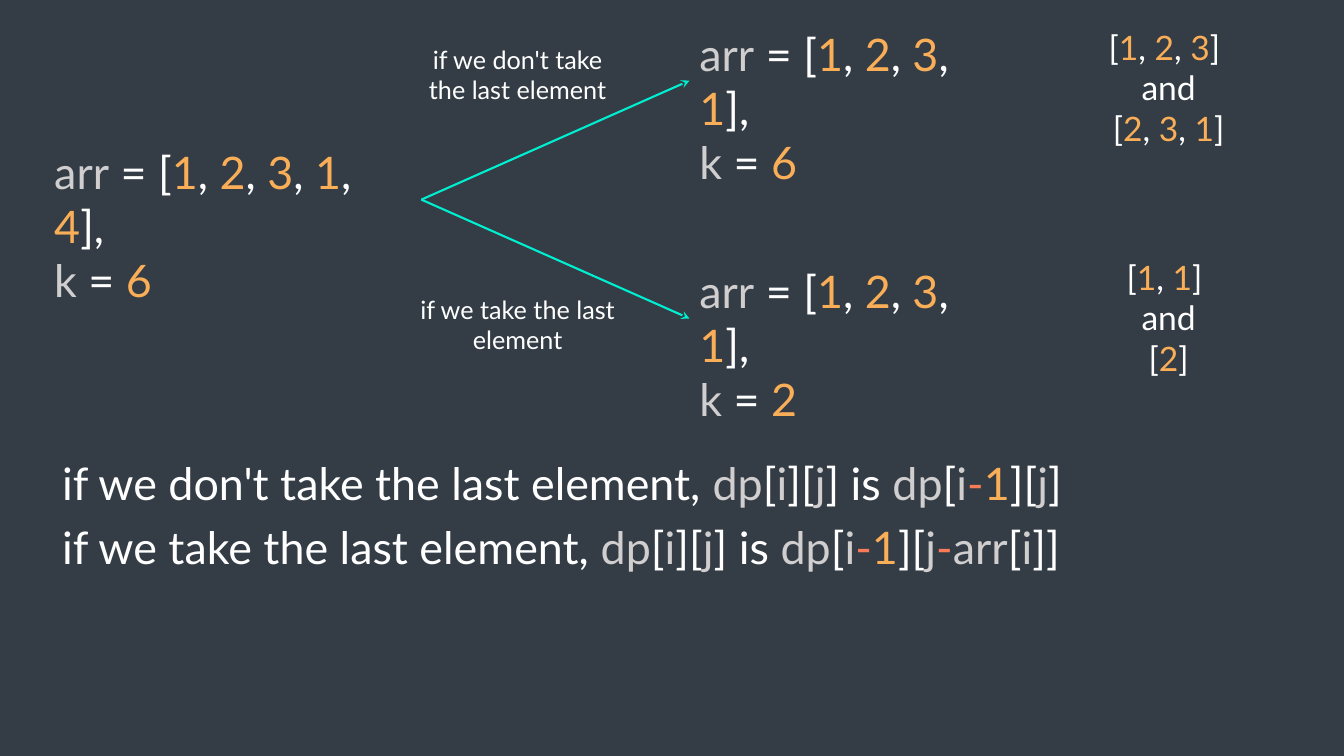
from itertools import groupby

from lxml import etree
from pptx import Presentation
from pptx.dml.color import RGBColor
from pptx.enum import shapes, text
from pptx.oxml import ns
from pptx.util import Pt

COLORS = {
    "background": "343D46",
    "plain": "FFFFFF",
    "name": "D0CECE",
    "number": "F9AE57",
    "operator": "F97B57",
    "arrow": "00EFD1",
}
NAMES = {"arr", "k", "dp", "i", "j"}


def color_runs(line):
    tokens = ["".join(group) for _, group in groupby(line, lambda c: (c.isalpha(), c.isdigit(), c == "-"))]

    def kind(token):
        if token in NAMES:
            return "name"
        if token.isdigit():
            return "number"
        return "operator" if token == "-" else "plain"

    return [(key, "".join(group)) for key, group in groupby(tokens, kind)]


presentation = Presentation()
presentation.slide_width = Pt(960)
presentation.slide_height = Pt(540)
slide = presentation.slides.add_slide(presentation.slide_layouts[6])
slide.background.fill.solid()
slide.background.fill.fore_color.rgb = RGBColor.from_string(COLORS["background"])

LEFT = text.PP_ALIGN.LEFT
CENTER = text.PP_ALIGN.CENTER
text_boxes = [
    (31.7, 100, 269.3, 85, 32, LEFT, ["arr = [1, 2, 3, 1, 4],", "k = 6"]),
    (492.5, 15.8, 234, 85, 32, LEFT, ["arr = [1, 2, 3, 1],", "k = 6"]),
    (492.5, 185, 234, 85, 32, LEFT, ["arr = [1, 2, 3, 1],", "k = 2"]),
    (288.7, 28, 162, 51, 18, CENTER, ["if we don't take the last element"]),
    (288.7, 206.6, 162, 51, 18, CENTER, ["if we take the last element"]),
    (37.4, 321.8, 856.8, 46, 32, LEFT, ["if we don't take the last element, dp[i][j] is dp[i-1][j]"]),
    (37.4, 367.9, 856.8, 46, 32, LEFT, ["if we take the last element, dp[i][j] is dp[i-1][j-arr[i]]"]),
    (761, 15.8, 147.6, 94.3, 24, CENTER, ["[1, 2, 3] ", "and", "[2, 3, 1]"]),
    (761, 180, 147.6, 94.3, 24, CENTER, ["[1, 1] ", "and", "[2]"]),
]
for left, top, width, height, size, alignment, lines in text_boxes:
    shape = slide.shapes.add_textbox(Pt(left), Pt(top), Pt(width), Pt(height))
    frame = shape.text_frame
    frame.word_wrap = True
    frame.auto_size = text.MSO_AUTO_SIZE.SHAPE_TO_FIT_TEXT
    for index, line in enumerate(lines):
        paragraph = frame.add_paragraph() if index else frame.paragraphs[0]
        paragraph.alignment = alignment
        for color, words in color_runs(line):
            run = paragraph.add_run()
            run.text = words
            for attribute, value in {"name": "Lato", "size": Pt(size)}.items():
                setattr(run.font, attribute, value)
            run.font.color.rgb = RGBColor.from_string(COLORS[color])

for end_top in (227.5, 57.6):
    arrow = slide.shapes.add_connector(
        shapes.MSO_CONNECTOR.STRAIGHT, Pt(301), Pt(142.6), Pt(492.5), Pt(end_top)
    )
    arrow.line.color.rgb = RGBColor.from_string(COLORS["arrow"])
    arrow.line.width = Pt(1.5)
    properties = arrow.element.spPr
    etree.SubElement(properties.find(ns.qn("a:ln")), ns.qn("a:tailEnd"), type="stealth")
    etree.SubElement(properties, ns.qn("a:effectLst"))

presentation.save("out.pptx")
